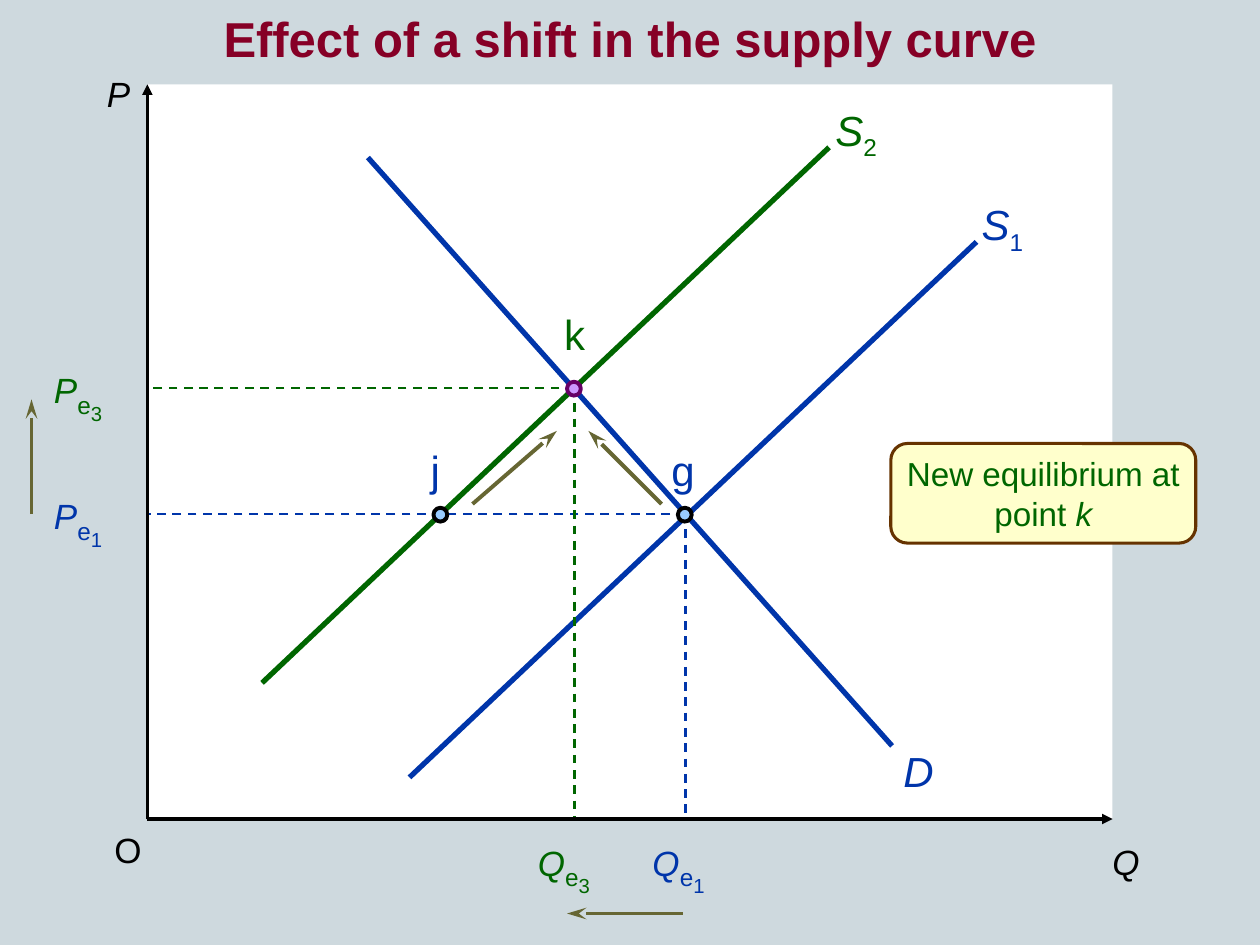
from lxml import etree
from pptx import Presentation
from pptx import util as u
from pptx.dml.color import RGBColor
from pptx.enum import dml, shapes, text
from pptx.oxml.ns import qn

COLORS = {
    "background": "CED9DE", "plot": "FFFFFF", "axis": "000000",
    "blue": "0035AA", "green": "006600", "olive": "666633",
    "title": "860026", "dot": "99CCFF", "new_dot": "CC99FF",
    "new_dot_line": "660066", "note": "FFFFCC", "note_line": "663300",
}
LEFT, TOP, RIGHT, BOTTOM = 1.17, 0.67, 8.83, 6.5
P1, P3, Q1, Q3 = 4.08, 3.08, 5.44, 4.56


def rgb(name):
    """Return the named palette colour."""
    return RGBColor.from_string(COLORS[name])


def inches(*values):
    """Convert numbers to lengths."""
    return [u.Inches(v) for v in values]


def add_line(s, start, end, color, width, dash=False, head=None, length="med"):
    """Draw a straight line, optionally dashed or with an arrowhead at its end."""
    c = s.shapes.add_connector(shapes.MSO_CONNECTOR.STRAIGHT, *inches(*start, *end))
    c.line.color.rgb = rgb(color)
    c.line.width = u.Pt(width)
    if dash:
        c.line.dash_style = dml.MSO_LINE.DASH
    if head:
        etree.SubElement(c.line._get_or_add_ln(), qn("a:tailEnd"),
                         type=head, w="med", len=length)
    etree.SubElement(c._element.spPr, qn("a:effectLst"))


def add_shape(parent, kind, box, fill, line=None, width=0):
    """Draw a filled preset shape without a shadow."""
    sp = parent.shapes.add_shape(kind, *inches(*box))
    sp.shadow.inherit = False
    sp.fill.solid()
    sp.fill.fore_color.rgb = rgb(fill)
    if line:
        sp.line.color.rgb = rgb(line)
        sp.line.width = u.Pt(width)
    else:
        sp.line.fill.background()
    return sp


def write(sp, runs, color, size, wrap=True, center=False):
    """Fill a shape with one paragraph of (text, italic, size, baseline) runs."""
    tf = sp.text_frame
    tf.word_wrap = wrap
    tf.auto_size = text.MSO_AUTO_SIZE.SHAPE_TO_FIT_TEXT
    p = tf.paragraphs[0]
    p.alignment = text.PP_ALIGN.CENTER if center else text.PP_ALIGN.LEFT
    p.font.name = "Arial"
    p.font.size = u.Pt(size)
    p.font.color.rgb = rgb(color)
    for words, italic, run_size, baseline in runs:
        r = p.add_run()
        r.text = words
        if italic:
            r.font.italic = True
        if run_size != size:
            r.font.size = u.Pt(run_size)
        if baseline:
            r.font._element.set("baseline", str(baseline * 1000))
    return p


def add_label(parent, box, runs, color, size, wrap=False, center=False):
    """Add a text label."""
    sp = parent.shapes.add_textbox(*inches(*box))
    return write(sp, runs, color, size, wrap, center)


def add_equilibrium_label(s, x, y, letter, number, color):
    """Add a price or quantity label with a two-level subscript."""
    runs = [(letter, True, 20, 0), ("e", False, 24, -25), (number, False, 20, -50)]
    add_label(s, (x, y, 0.75, 0.61), runs, color, 20, wrap=True)


def add_point(s, x, y, fill, line, name, box, color):
    """Add a marked point grouped with its letter."""
    group = s.shapes.add_group_shape()
    add_shape(group, shapes.MSO_SHAPE.OVAL, (x - 0.06, y - 0.05, 0.11, 0.11),
              fill, line, 2.25)
    add_label(group, box, [(name, False, 24, 0)], color, 24)


def add_title(s, words):
    """Add the bold shadowed title."""
    p = add_label(s, (0, 0.02, 10, 0.57), [(words, False, 28, 0)], "title", 28,
                  wrap=True, center=True)
    p.font.bold = True
    effects = etree.SubElement(p.runs[0].font._element, qn("a:effectLst"))
    shadow = etree.SubElement(effects, qn("a:outerShdw"),
                              dist="28398", dir="2700000", algn="ctr")
    etree.SubElement(shadow, qn("a:srgbClr"), val=COLORS["axis"])


def add_note(s):
    """Add the rounded box that states the result."""
    sp = add_shape(s, shapes.MSO_SHAPE.FLOWCHART_ALTERNATE_PROCESS,
                   (7.07, 3.52, 2.42, 0.79), "note", "note_line", 1.75)
    tf = sp.text_frame
    tf.margin_left = tf.margin_right = u.Inches(0.06)
    tf.margin_top = tf.margin_bottom = u.Inches(0.04)
    tf.vertical_anchor = text.MSO_ANCHOR.MIDDLE
    write(sp, [("New equilibrium at point ", False, 19, 0), ("k", True, 19, 0)],
          "green", 19, center=True)


def main():
    """Build the supply shift diagram."""
    prs = Presentation()
    prs.slide_width, prs.slide_height = inches(10, 7.5)
    s = prs.slides.add_slide(prs.slide_layouts[6])
    s.background.fill.solid()
    s.background.fill.fore_color.rgb = rgb("background")
    add_shape(s, shapes.MSO_SHAPE.RECTANGLE,
              (LEFT, TOP, RIGHT - LEFT, BOTTOM - TOP), "plot")

    for name, italic, box in [("P", True, (0.75, 0.53, 0.37, 0.43)),
                              ("Q", True, (8.73, 6.62, 0.42, 0.43)),
                              ("O", False, (0.81, 6.53, 0.42, 0.43))]:
        add_label(s, box, [(name, italic, 20, 0)], "axis", 20)

    for start, end, color in [((7.08, 5.92), (2.92, 1.25), "blue"),
                              ((7.75, 1.92), (3.25, 6.17), "blue"),
                              ((6.58, 1.17), (2.08, 5.42), "green")]:
        add_line(s, start, end, color, 3)

    for q, price, color in [(Q1, P1, "blue"), (Q3, P3, "green")]:
        for end in [(LEFT, price), (q, BOTTOM)]:
            add_line(s, (q, price), end, color, 1.25, dash=True)

    for end in [(RIGHT, BOTTOM), (LEFT, TOP)]:
        add_line(s, (LEFT, BOTTOM), end, "axis", 2, head="triangle")

    add_equilibrium_label(s, 0.33, 3.82, "P", "1", "blue")
    add_equilibrium_label(s, 0.33, 2.82, "P", "3", "green")
    add_equilibrium_label(s, 4.17, 6.57, "Q", "3", "green")
    add_equilibrium_label(s, 5.08, 6.57, "Q", "1", "blue")

    for start, end in [((0.25, 4.08), (0.25, 3.17)), ((5.42, 7.25), (4.5, 7.25)),
                       ((3.75, 4), (4.42, 3.42)), ((5.25, 4), (4.67, 3.42))]:
        add_line(s, start, end, "olive", 2.25, head="stealth", length="lg")

    add_label(s, (7.07, 5.87, 0.44, 0.5), [("D", True, 24, 0)], "blue", 24, center=True)
    for x, y, number, color in [(7.69, 1.53, "1", "blue"), (6.53, 0.78, "2", "green")]:
        add_label(s, (x, y, 0.53, 0.56), [("S", True, 24, 0), (number, False, 24, -25)],
                  color, 24, center=True)

    add_point(s, 3.5, P1, "dot", "axis", "j", (3.32, 3.48, 0.28, 0.5), "blue")
    add_point(s, Q1, P1, "dot", "axis", "g", (5.23, 3.48, 0.39, 0.5), "blue")
    add_point(s, Q3, P3, "new_dot", "new_dot_line", "k", (4.38, 2.4, 0.37, 0.5), "green")
    add_note(s)
    add_title(s, "Effect of a shift in the supply curve")
    prs.save("out.pptx")


if __name__ == "__main__":
    main()
